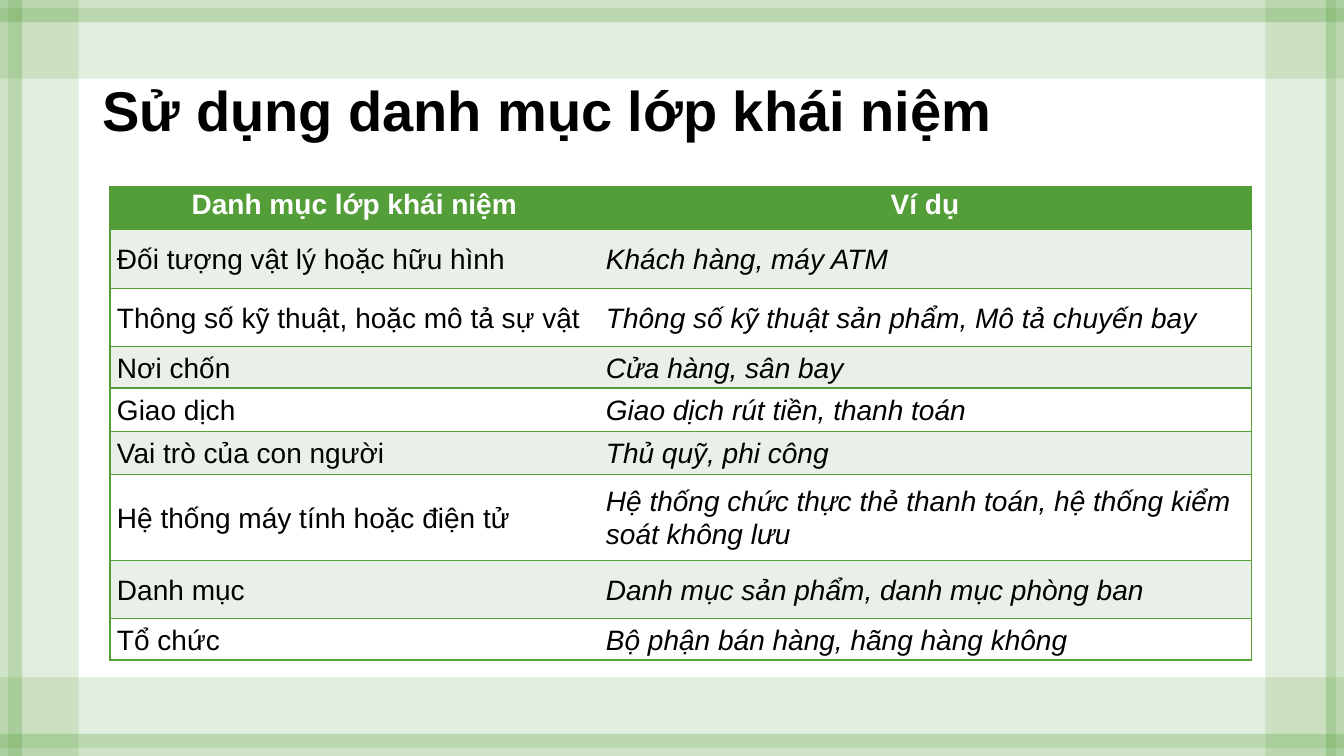
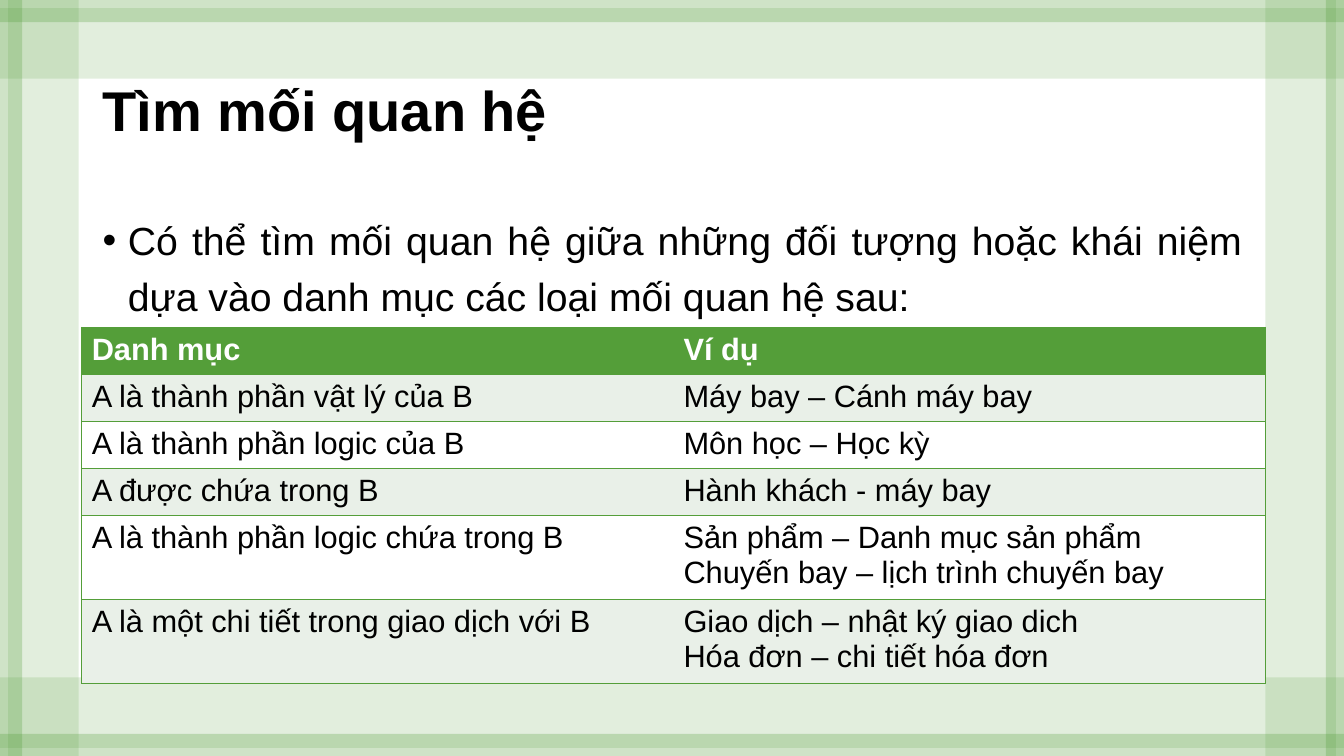
import dataclasses

import lxml.etree
import pptx
import pptx.dml.color
import pptx.enum.shapes
import pptx.enum.text
import pptx.oxml.ns
import pptx.util

ALIGN = pptx.enum.text.PP_ALIGN
ANCHOR = pptx.enum.text.MSO_ANCHOR
qn = pptx.oxml.ns.qn


@dataclasses.dataclass(frozen=True)
class Theme:
    font: str = "Arial"
    green: str = "549E39"
    stripe: str = "E9F0E8"
    white: str = "FFFFFF"
    black: str = "000000"
    title_size: int = 40
    body_size: int = 28
    rule_width: int = 1
    wide_alpha: int = 17
    narrow_alpha: int = 28


theme = Theme()
deck = pptx.Presentation()
deck.slide_width = pptx.util.Inches(13.33)
deck.slide_height = pptx.util.Inches(7.5)


def share(*percents):
    """Turn percentages into lengths, by turns of slide width and height."""
    sides = (deck.slide_width, deck.slide_height)
    return [round(sides[i % 2] * p / 100) for i, p in enumerate(percents)]


def style(paragraph, size, color, bold=False, italic=False):
    for run in paragraph.runs:
        run.font.name = theme.font
        run.font.size = pptx.util.Pt(size)
        run.font.bold = bold
        run.font.italic = italic
        run.font.color.rgb = pptx.dml.color.RGBColor.from_string(color)


# Content: column widths and row heights are shares of the slide
topics = [
    dict(
        title="Sử dụng danh mục lớp khái niệm",
        intro=None,
        corner=(8.18, 24.67),
        columns=(36.38, 48.53),
        heights=(5.73, 7.73, 7.73, 5.47, 5.73, 5.73, 11.33, 7.73, 5.47),
        size=20,
        spacing=1.07,
        margins=(0.07, 0),
        header_align=ALIGN.CENTER,
        anchor=ANCHOR.MIDDLE,
        italic_examples=True,
        rows=[
            ("Danh mục lớp khái niệm", "Ví dụ"),
            ("Đối tượng vật lý hoặc hữu hình", "Khách hàng, máy ATM"),
            ("Thông số kỹ thuật, hoặc mô tả sự vật",
             "Thông số kỹ thuật sản phẩm, Mô tả chuyến bay"),
            ("Nơi chốn", "Cửa hàng, sân bay"),
            ("Giao dịch", "Giao dịch rút tiền, thanh toán"),
            ("Vai trò của con người", "Thủ quỹ, phi công"),
            ("Hệ thống máy tính hoặc điện tử",
             "Hệ thống chức thực thẻ thanh toán, hệ thống kiểm soát không lưu"),
            ("Danh mục", "Danh mục sản phẩm, danh mục phòng ban"),
            ("Tổ chức", "Bộ phận bán hàng, hãng hàng không"),
        ],
    ),
    dict(
        title="Tìm mối quan hệ",
        intro="Có thể tìm mối quan hệ giữa những đối tượng hoặc khái niệm "
              "dựa vào danh mục các loại mối quan hệ sau:",
        corner=(6.08, 43.33),
        columns=(44.03, 44.03),
        heights=(6, 6, 6, 6, 10.4, 10.4),
        size=22,
        spacing=1,
        margins=(0.1, 0.05),
        header_align=ALIGN.LEFT,
        anchor=ANCHOR.TOP,
        italic_examples=False,
        rows=[
            ("Danh mục", "Ví dụ"),
            ("A là thành phần vật lý của B", "Máy bay – Cánh máy bay"),
            ("A là thành phần logic của B", "Môn học – Học kỳ"),
            ("A được chứa trong B", "Hành khách - máy bay"),
            ("A là thành phần logic chứa trong B",
             "Sản phẩm – Danh mục sản phẩm\nChuyến bay – lịch trình chuyến bay"),
            ("A là một chi tiết trong giao dịch với B",
             "Giao dịch – nhật ký giao dich\nHóa đơn – chi tiết hóa đơn"),
        ],
    ),
]

# Shared frame: a wide and a narrow band on each side, kept on the layout
blank = deck.slide_layouts[6]
for placeholder in list(blank.placeholders):
    blank.shapes.element.remove(placeholder.element)
slides = [deck.slides.add_slide(blank) for topic in topics]

frame_bands = [
    (0, 1.07, 100, 9.33, theme.wide_alpha),
    (0, 0, 100, 2.93, theme.narrow_alpha),
    (0.6, 0, 5.25, 100, theme.wide_alpha),
    (0, 0, 1.65, 100, theme.narrow_alpha),
    (94.15, 0, 5.25, 100, theme.wide_alpha),
    (98.65, 0, 1.35, 100, theme.narrow_alpha),
    (0, 89.6, 100, 9.33, theme.wide_alpha),
    (0, 97.07, 100, 2.93, theme.narrow_alpha),
]
frame = []
for *area, alpha in frame_bands:
    band = slides[0].shapes.add_shape(
        pptx.enum.shapes.MSO_SHAPE.RECTANGLE, *share(*area))
    band.shadow.inherit = False
    band.line.fill.background()
    band.fill.solid()
    band.fill.fore_color.rgb = pptx.dml.color.RGBColor.from_string(theme.green)
    tint = band.element.spPr.find(qn("a:solidFill"))[0]
    lxml.etree.SubElement(tint, qn("a:alpha"), val=str(alpha * 1000))
    frame.append(band)
for band in frame:
    blank.shapes.element.append(band.element)

for slide, topic in zip(slides, topics):
    # Title
    title = slide.shapes.add_textbox(*share(6.9, 5.33, 86.25, 19.33)).text_frame
    title.word_wrap = True
    title.vertical_anchor = ANCHOR.MIDDLE
    title.text = topic["title"]
    title.paragraphs[0].line_spacing = 0.9
    style(title.paragraphs[0], theme.title_size, theme.black, bold=True)

    # Bulleted introduction
    if topic["intro"]:
        intro = slide.shapes.add_textbox(*share(6.9, 26.67, 86.25, 16.67)).text_frame
        intro.word_wrap = True
        intro.text = topic["intro"]
        point = intro.paragraphs[0]
        point.alignment = ALIGN.JUSTIFY
        point.line_spacing = 1.2
        point.space_before = pptx.util.Pt(10)
        style(point, theme.body_size, theme.black)
        indent = pptx.util.Inches(0.25)
        properties = point._p.get_or_add_pPr()
        properties.set("marL", str(indent))
        properties.set("indent", str(-indent))
        lxml.etree.SubElement(properties, qn("a:buFont"), typeface=theme.font)
        lxml.etree.SubElement(properties, qn("a:buChar"), char="•")

    # Table of categories and examples
    categories = slide.shapes.add_table(
        len(topic["rows"]), len(topic["columns"]),
        *share(*topic["corner"], sum(topic["columns"]), sum(topic["heights"]))).table
    categories.horz_banding = False
    for column, width in zip(categories.columns, topic["columns"]):
        column.width = share(width)[0]
    for row, height in zip(categories.rows, topic["heights"]):
        row.height = share(0, height)[1]

    side, edge = (pptx.util.Inches(m) for m in topic["margins"])
    for r, texts in enumerate(topic["rows"]):
        header = r == 0
        background = theme.green if header else (theme.white, theme.stripe)[r % 2]
        for c, text in enumerate(texts):
            cell = categories.cell(r, c)
            cell.text_frame.text = text
            cell.margin_left = cell.margin_right = side
            cell.margin_top = cell.margin_bottom = edge
            cell.vertical_anchor = ANCHOR.TOP if header else topic["anchor"]
            for paragraph in cell.text_frame.paragraphs:
                paragraph.line_spacing = topic["spacing"]
                paragraph.alignment = topic["header_align"] if header else ALIGN.LEFT
                style(paragraph, topic["size"],
                      theme.white if header else theme.black, bold=header,
                      italic=topic["italic_examples"] and c == 1 and not header)

            # Rules run around the table and between rows, not between columns
            ruled = {"lnL": c == 0, "lnR": c == 1, "lnT": True, "lnB": True}
            cell_properties = cell._tc.get_or_add_tcPr()
            for tag, visible in ruled.items():
                rule = lxml.etree.SubElement(
                    cell_properties, qn("a:" + tag),
                    w=str(pptx.util.Pt(theme.rule_width)))
                if visible:
                    paint = lxml.etree.SubElement(rule, qn("a:solidFill"))
                    lxml.etree.SubElement(paint, qn("a:srgbClr"), val=theme.green)
                else:
                    lxml.etree.SubElement(rule, qn("a:noFill"))
            cell.fill.solid()
            cell.fill.fore_color.rgb = pptx.dml.color.RGBColor.from_string(background)

deck.save("out.pptx")
